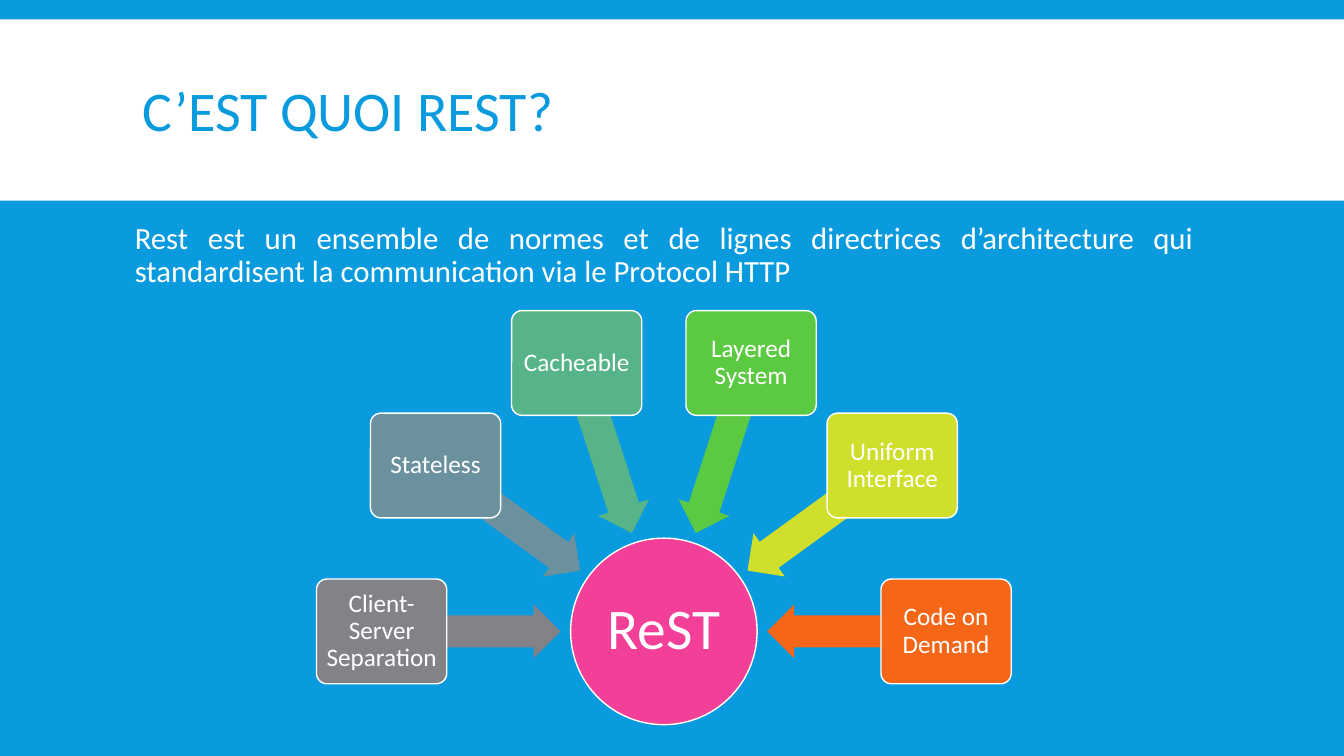
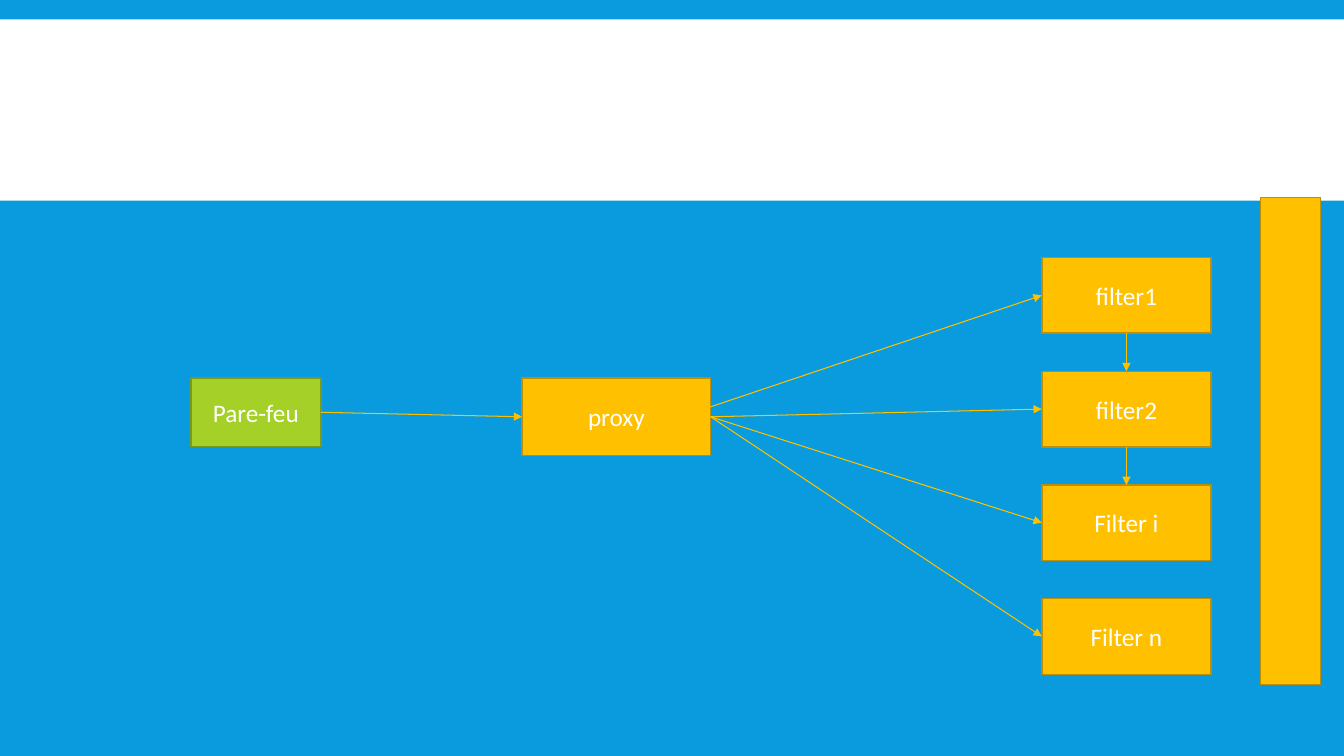
from math import cos, radians, sin

from pptx import Presentation
from pptx.dml.color import RGBColor
from pptx.enum.shapes import MSO_CONNECTOR, MSO_SHAPE as SHAPE
from pptx.enum.text import MSO_ANCHOR as ANCHOR, MSO_AUTO_SIZE, PP_ALIGN as ALIGN
from pptx.oxml.ns import qn
from pptx.util import Emu, Pt
from lxml.etree import SubElement

COLUMNS, ROWS, CELL = 48, 27, 254000
TITLE_ONLY, BLANK = 5, 6
TOP, LEFT, BOTTOM, RIGHT = range(4)
FONT = "Calibri"
COLORS = {
    "blue": "099BDD",
    "white": "FFFFFF",
    "pink": "F24099",
    "green": "A5D028",
    "green edge": "7A9A1E",
    "amber": "FFC000",
    "amber edge": "BD8E00",
    "gray": "828288",
    "slate": "6C919E",
    "teal": "57B489",
    "leaf": "5BCA42",
    "lime": "D0DF2C",
    "orange": "F56617",
}
CONSTRAINTS = [
    ("Client-Server Separation", "gray"),
    ("Stateless", "slate"),
    ("Cacheable", "teal"),
    ("Layered System", "leaf"),
    ("Uniform Interface", "lime"),
    ("Code on Demand", "orange"),
]
FILTERS = ["filter1", "filter2", "Filter i", "Filter n"]


def rgb(name):
    return RGBColor.from_string(COLORS[name])


def grid(*cells):
    return [Emu(round(c * CELL)) for c in cells]


def centered(cx, cy, w, h):
    return cx - w / 2, cy - h / 2, w, h


def write(shape, text, size=18, color="white", align=ALIGN.CENTER,
          anchor=ANCHOR.MIDDLE, spacing=1.0, inset=None):
    tf = shape.text_frame
    tf.text = text
    tf.word_wrap = True
    tf.auto_size = MSO_AUTO_SIZE.NONE
    tf.vertical_anchor = anchor
    if inset is not None:
        tf.margin_left = tf.margin_right = tf.margin_top = tf.margin_bottom = Pt(inset)
    p = tf.paragraphs[0]
    p.alignment = align
    p.line_spacing = spacing
    font = p.runs[0].font
    font.name, font.size, font.color.rgb = FONT, Pt(size), rgb(color)
    return p


def add_block(s, kind, box, fill, edge=None):
    sp = s.shapes.add_shape(kind, *grid(*box))
    sp.shadow.inherit = False
    sp.fill.solid()
    sp.fill.fore_color.rgb = rgb(fill)
    if edge:
        sp.line.color.rgb = rgb(edge)
        sp.line.width = Pt(1)
    else:
        sp.line.fill.background()
    return sp


def add_box(s, box, text, color="amber"):
    sp = add_block(s, SHAPE.RECTANGLE, box, color, f"{color} edge")
    write(sp, text)
    return sp


def add_arrow(s, target, side, source=None, start=(0, 0), source_side=RIGHT):
    cn = s.shapes.add_connector(MSO_CONNECTOR.STRAIGHT, *grid(*start, *start))
    if source is not None:
        cn.begin_connect(source, source_side)
    cn.end_connect(target, side)
    cn.line.color.rgb = rgb("amber")
    cn.line.width = Pt(0.75)
    props = cn.element.spPr
    SubElement(props.get_or_add_ln(), qn("a:tailEnd"), type="triangle")
    SubElement(props, qn("a:effectLst"))


def add_slide(prs, layout):
    s = prs.slides.add_slide(prs.slide_layouts[layout])
    band = add_block(s, SHAPE.RECTANGLE, (0, 0.69, COLUMNS, 6.48), "white")
    s.shapes.element.insert(2, band.element)
    return s


def set_title(s, text):
    title = s.shapes.title
    title.left, title.top, title.width, title.height = grid(4.72, 1.12, 38.52, 5.94)
    write(title, text, 40, "blue", ALIGN.LEFT, spacing=0.85)


def add_intro(s, text):
    tb = s.shapes.add_textbox(*grid(4.46, 7.78, 38.52, 16.56))
    p = write(tb, text, 22, align=ALIGN.JUSTIFY, anchor=ANCHOR.TOP, spacing=0.9)
    p.space_before, p.space_after = Pt(12), Pt(2)


def add_radial(s, cx, cy, hub, items):
    center = add_block(s, SHAPE.OVAL, centered(cx, cy, 6.66, 6.66), "pink", "white")
    write(center, hub, 41, spacing=0.9, inset=2)
    step = 180 / (len(items) - 1)
    for i, (text, color) in enumerate(items):
        angle = 180 + i * step
        dx, dy = cos(radians(angle)), sin(radians(angle))
        arrow = add_block(s, SHAPE.LEFT_ARROW,
                          centered(cx + 6.88 * dx, cy + 6.88 * dy, 6.37, 1.91), color)
        arrow.rotation = angle % 360
        arrow.adjustments[0], arrow.adjustments[1] = 0.6, 0.5
        node = add_block(s, SHAPE.ROUNDED_RECTANGLE,
                         centered(cx + 10.08 * dx, cy + 10.08 * dy, 4.65, 3.74),
                         color, "white")
        node.adjustments[0] = 0.1
        write(node, text, spacing=0.9, inset=2.6)


def build_rest(s):
    set_title(s, "C’EST QUOI REST?")
    add_intro(s, "Rest est un ensemble de normes et de lignes directrices d’architecture "
                 "qui standardisent la communication via le Protocol HTTP")
    add_radial(s, 23.71, 22.55, "ReST", CONSTRAINTS)


def build_filters(s):
    firewall = add_box(s, (6.82, 13.5, 4.64, 2.45), "Pare-feu", "green")
    proxy = add_box(s, (18.65, 13.5, 6.73, 2.77), "proxy")
    filters = [add_box(s, (37.21, 9.2 + 4.06 * i, 6.04, 2.7), text)
               for i, text in enumerate(FILTERS)]
    add_arrow(s, proxy, LEFT, firewall)
    add_arrow(s, filters[0], LEFT, start=(25.02, 14.65))
    for target in filters[1:]:
        add_arrow(s, target, LEFT, proxy)
    add_block(s, SHAPE.RECTANGLE, (45.01, 7.06, 2.16, 17.39), "amber", "amber edge")
    for upper, lower in zip(filters[:2], filters[1:]):
        add_arrow(s, lower, TOP, upper, source_side=BOTTOM)


def main():
    prs = Presentation()
    prs.slide_width, prs.slide_height = grid(COLUMNS, ROWS)
    background = prs.slide_master.background.fill
    background.solid()
    background.fore_color.rgb = rgb("blue")
    build_rest(add_slide(prs, TITLE_ONLY))
    build_filters(add_slide(prs, BLANK))
    prs.save("out.pptx")


if __name__ == "__main__":
    main()
